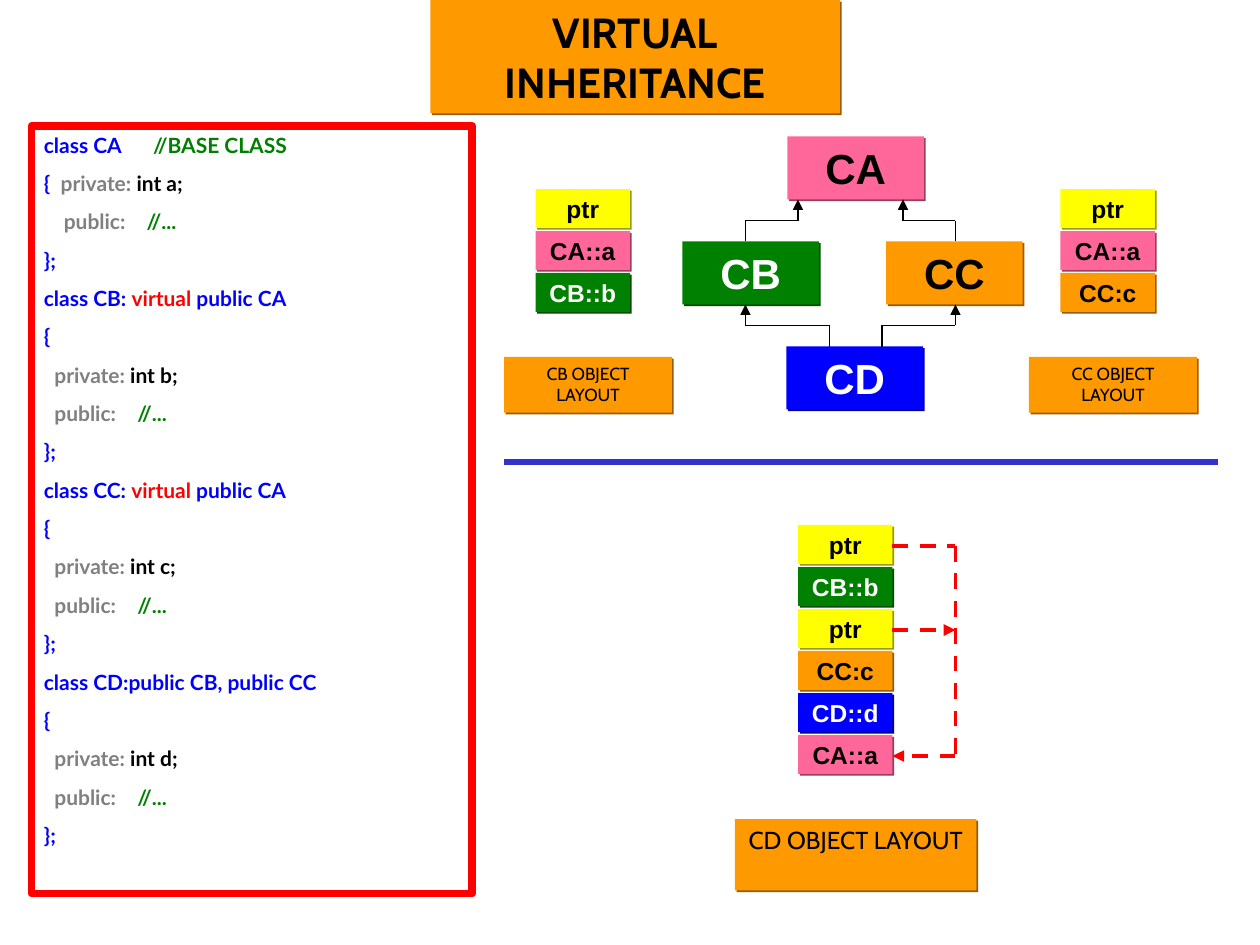
from dataclasses import dataclass
from itertools import pairwise

from lxml import etree
from pptx import Presentation
from pptx.dml.color import RGBColor
from pptx.enum.dml import MSO_LINE
from pptx.enum.shapes import MSO_CONNECTOR, MSO_SHAPE
from pptx.enum.text import MSO_ANCHOR, MSO_AUTO_SIZE, PP_ALIGN
from pptx.oxml.ns import qn
from pptx.util import Pt

PX = 7620
RECTANGLE = MSO_SHAPE.RECTANGLE
STRAIGHT = MSO_CONNECTOR.STRAIGHT
DASH = MSO_LINE.DASH
TOP, MIDDLE = MSO_ANCHOR.TOP, MSO_ANCHOR.MIDDLE
LEFT, CENTER = PP_ALIGN.LEFT, PP_ALIGN.CENTER
NO_AUTOFIT = MSO_AUTO_SIZE.NONE


@dataclass(frozen=True)
class Theme:
    """Colours, fonts and type sizes of the slide."""
    black: str = "000000"
    white: str = "FFFFFF"
    orange: str = "FF9900"
    pink: str = "FF6699"
    green: str = "008000"
    blue: str = "0000FF"
    yellow: str = "FFFF00"
    red: str = "FF0000"
    gray: str = "808080"
    divider: str = "3333CC"
    heading_font: str = "Cabin"
    code_font: str = "Lato"
    diagram_font: str = "Arial"
    title_size: int = 24
    class_size: int = 24
    cell_size: int = 14
    code_size: int = 12
    small_caption: int = 10
    large_caption: int = 14


THEME = Theme()
MEMBERS = {
    "ptr": (THEME.yellow, THEME.black),
    "CA::a": (THEME.pink, THEME.black),
    "CB::b": (THEME.green, THEME.white),
    "CC:c": (THEME.orange, THEME.black),
    "CD::d": (THEME.blue, THEME.white),
}


def color(value):
    """Turn a hex string into a colour."""
    return RGBColor.from_string(value)


def place(shape, box):
    """Set a shape's position and size from a box in px."""
    shape.left, shape.top, shape.width, shape.height = (side * PX for side in box)


def add_run(paragraph, text, font, size, text_color, bold):
    """Append one formatted run."""
    run = paragraph.add_run()
    run.text = text
    run.font.name, run.font.size, run.font.bold = font, Pt(size), bold
    run.font.color.rgb = color(text_color)


def set_frame(shape, anchor, wrap):
    """Fix wrapping, anchoring and insets, and return the text frame."""
    frame = shape.text_frame
    frame.auto_size, frame.word_wrap, frame.vertical_anchor = NO_AUTOFIT, wrap, anchor
    frame.margin_left = frame.margin_right = 12 * PX
    frame.margin_top = frame.margin_bottom = 6 * PX
    return frame


def style_panel(shape, fill):
    """Fill a shape and give it a hard shadow in a darker shade."""
    shape.fill.solid()
    shape.fill.fore_color.rgb = color(fill)
    shape.line.fill.background()
    shape.shadow.inherit = False
    effects = shape._element.spPr.find(qn("a:effectLst"))
    shadow = etree.SubElement(effects, qn("a:outerShdw"), dist="17961", dir="2700000",
                              algn="ctr", rotWithShape="0")
    shade = "".join(f"{round(channel * 0.6):02X}" for channel in color(fill))
    etree.SubElement(shadow, qn("a:srgbClr"), val=shade)


def write_heading(shape, box, text, size, bold=False):
    """Format a shape as an orange heading panel."""
    place(shape, box)
    style_panel(shape, THEME.orange)
    paragraph = set_frame(shape, TOP, True).paragraphs[0]
    paragraph.alignment = CENTER
    paragraph.space_before = Pt(size * 0.62)
    add_run(paragraph, text, THEME.heading_font, size, THEME.black, bold)


def add_caption(shapes, box, text, size):
    """Add an orange caption panel."""
    shape = shapes.add_shape(RECTANGLE, 0, 0, 0, 0)
    write_heading(shape, box, text, size)


def add_block(shapes, box, text, fill, text_color, size):
    """Add a coloured block with a centred bold label."""
    shape = shapes.add_shape(RECTANGLE, *(side * PX for side in box))
    style_panel(shape, fill)
    paragraph = set_frame(shape, MIDDLE, False).paragraphs[0]
    paragraph.alignment = CENTER
    add_run(paragraph, text, THEME.diagram_font, size, text_color, True)


def add_route(shapes, points, line_color, width, dash=None, arrow=False):
    """Join points with straight connectors, with an arrowhead at the end if asked."""
    for start, end in pairwise(points):
        ends = (value * PX for value in (*start, *end))
        connector = shapes.add_connector(STRAIGHT, *ends)
        connector.line.color.rgb = color(line_color)
        connector.line.width = Pt(width)
        if dash:
            connector.line.dash_style = dash
        if arrow and end == points[-1]:
            etree.SubElement(connector.line._get_or_add_ln(), qn("a:tailEnd"), type="triangle")
        etree.SubElement(connector._element.spPr, qn("a:effectLst"))


def class_code(header, member):
    """Return the code lines of a derived class as tab stops and runs."""
    return [
        ((), header),
        ((), [("{", THEME.blue)]),
        ((10,), [("\tprivate:", THEME.gray), (f" int {member};", THEME.black)]),
        ((10, 89), [("\tpublic:", THEME.gray), ("\t//...", THEME.green)]),
        ((), [("};", THEME.blue)]),
    ]


def virtual_header(name):
    """Return the header runs of a class that derives virtually from CA."""
    return [(f"class {name}: ", THEME.blue), ("virtual", THEME.red), (" public CA", THEME.blue)]


def add_code(shapes, box):
    """Add the framed listing of the four classes."""
    shape = shapes.add_shape(RECTANGLE, *(side * PX for side in box))
    shape.shadow.inherit = False
    shape.fill.solid()
    shape.fill.fore_color.rgb = color(THEME.white)
    shape.line.color.rgb = color(THEME.red)
    shape.line.width = Pt(4.5)
    lines = [
        ((104,), [("class CA", THEME.blue), ("\t//BASE CLASS", THEME.green)]),
        ((16,), [("{", THEME.blue), ("\tprivate:", THEME.gray), (" int a;", THEME.black)]),
        ((19, 98), [("\tpublic:", THEME.gray), ("\t//...", THEME.green)]),
        ((), [("};", THEME.blue)]),
        *class_code(virtual_header("CB"), "b"),
        *class_code(virtual_header("CC"), "c"),
        *class_code([("class CD:public CB, public CC", THEME.blue)], "d"),
    ]
    frame = set_frame(shape, TOP, True)
    for index, (stops, runs) in enumerate(lines):
        paragraph = frame.add_paragraph() if index else frame.paragraphs[0]
        paragraph.alignment = LEFT
        paragraph.space_before = Pt(7.5)
        if stops:
            tabs = etree.SubElement(paragraph._p.get_or_add_pPr(), qn("a:tabLst"))
            for stop in stops:
                etree.SubElement(tabs, qn("a:tab"), pos=str(stop * PX), algn="l")
        for text, text_color in runs:
            add_run(paragraph, text, THEME.code_font, THEME.code_size, text_color, True)


def add_object_layout(shapes, left, top, members):
    """Stack the members of an object."""
    for row, member in enumerate(members):
        add_block(shapes, (left, top + 40 * row, 90, 37), member, *MEMBERS[member], THEME.cell_size)


def add_hierarchy(shapes, left, top):
    """Add the grouped class diamond with its inheritance arrows."""
    group = shapes.add_group_shape().shapes
    classes = [("CA", 100, 0, "CA::a"), ("CB", 0, 100, "CB::b"),
               ("CC", 194, 100, "CC:c"), ("CD", 99, 200, "CD::d")]
    for name, x, y, member in classes:
        add_block(group, (left + x, top + y, 130, 60), name, *MEMBERS[member], THEME.class_size)
    for child, parent, y in [(60, 110, 100), (260, 210, 100), (140, 60, 200), (190, 260, 200)]:
        route = [(child, y), (child, y - 20), (parent, y - 20), (parent, y - 40)]
        add_route(group, [(left + x, top + height) for x, height in route],
                  THEME.black, 0.75, arrow=True)


def add_pointers(shapes, left, top):
    """Add the dashed arrows that lead from both pointers to the shared base."""
    right = left + 60
    outer = [(left, top), (right, top), (right, top + 200), (left, top + 200)]
    inner = [(left, top + 80), (right, top + 80)]
    for route in (outer, inner):
        add_route(shapes, route, THEME.red, 2.25, DASH, True)


def main():
    """Build and save the slide."""
    presentation = Presentation()
    presentation.slide_width, presentation.slide_height = 1200 * PX, 900 * PX
    slide = presentation.slides.add_slide(presentation.slide_layouts[5])
    shapes = slide.shapes
    write_heading(shapes.title, (410, 0, 390, 108), "VIRTUAL INHERITANCE", THEME.title_size, True)
    add_code(shapes, (30, 120, 420, 731))
    add_hierarchy(shapes, 650, 130)
    for left, name, member in [(480, "CB", "CB::b"), (980, "CC", "CC:c")]:
        add_object_layout(shapes, left + 30, 180, ["ptr", "CA::a", member])
        add_caption(shapes, (left, 340, 160, 53), f"{name} OBJECT LAYOUT", THEME.small_caption)
    add_route(shapes, [(480, 440), (1160, 440)], THEME.divider, 3)
    add_object_layout(shapes, 760, 500, ["ptr", "CB::b", "ptr", "CC:c", "CD::d", "CA::a"])
    add_pointers(shapes, 850, 520)
    add_caption(shapes, (700, 780, 230, 68), "CD OBJECT LAYOUT", THEME.large_caption)
    presentation.save("out.pptx")


if __name__ == "__main__":
    main()
